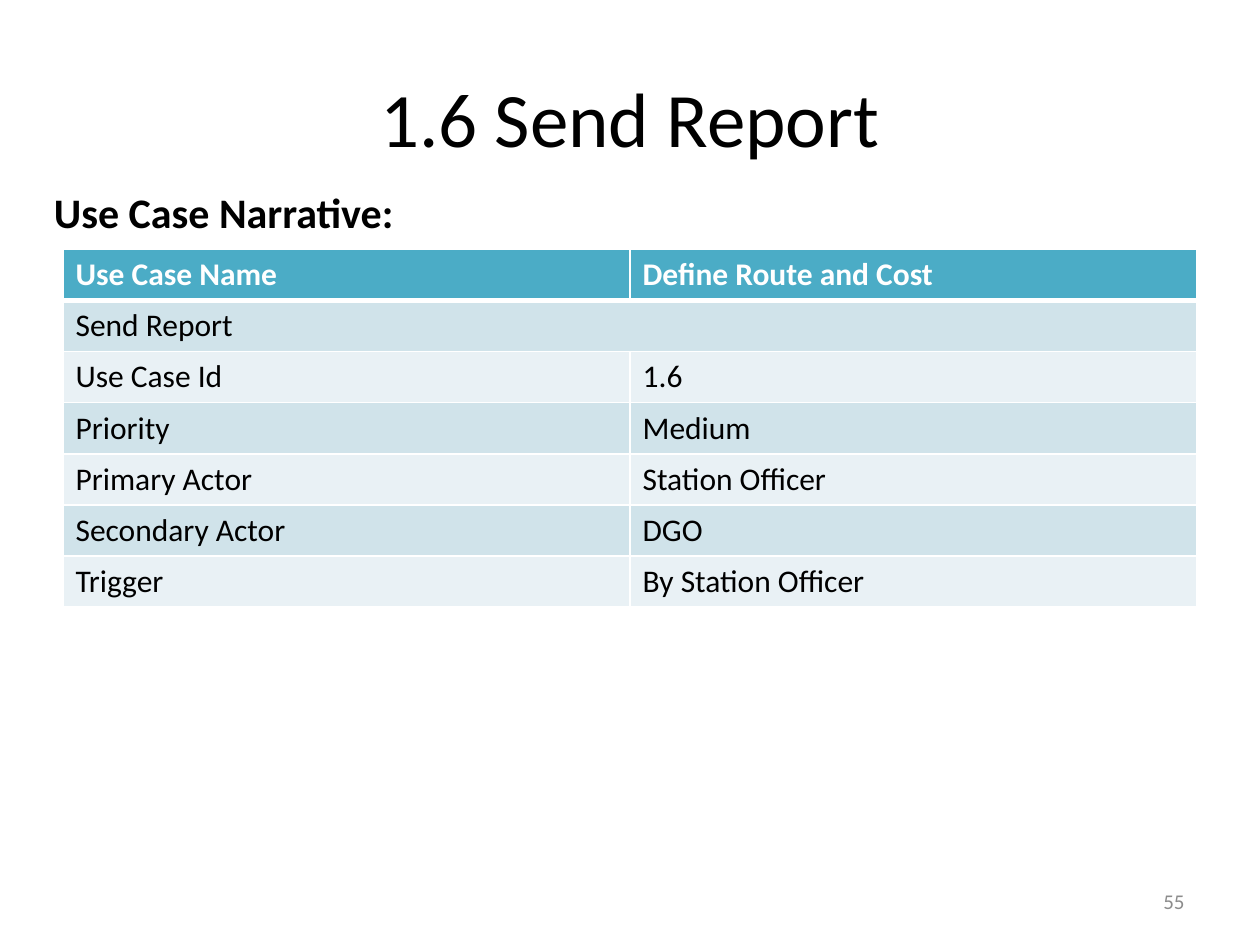
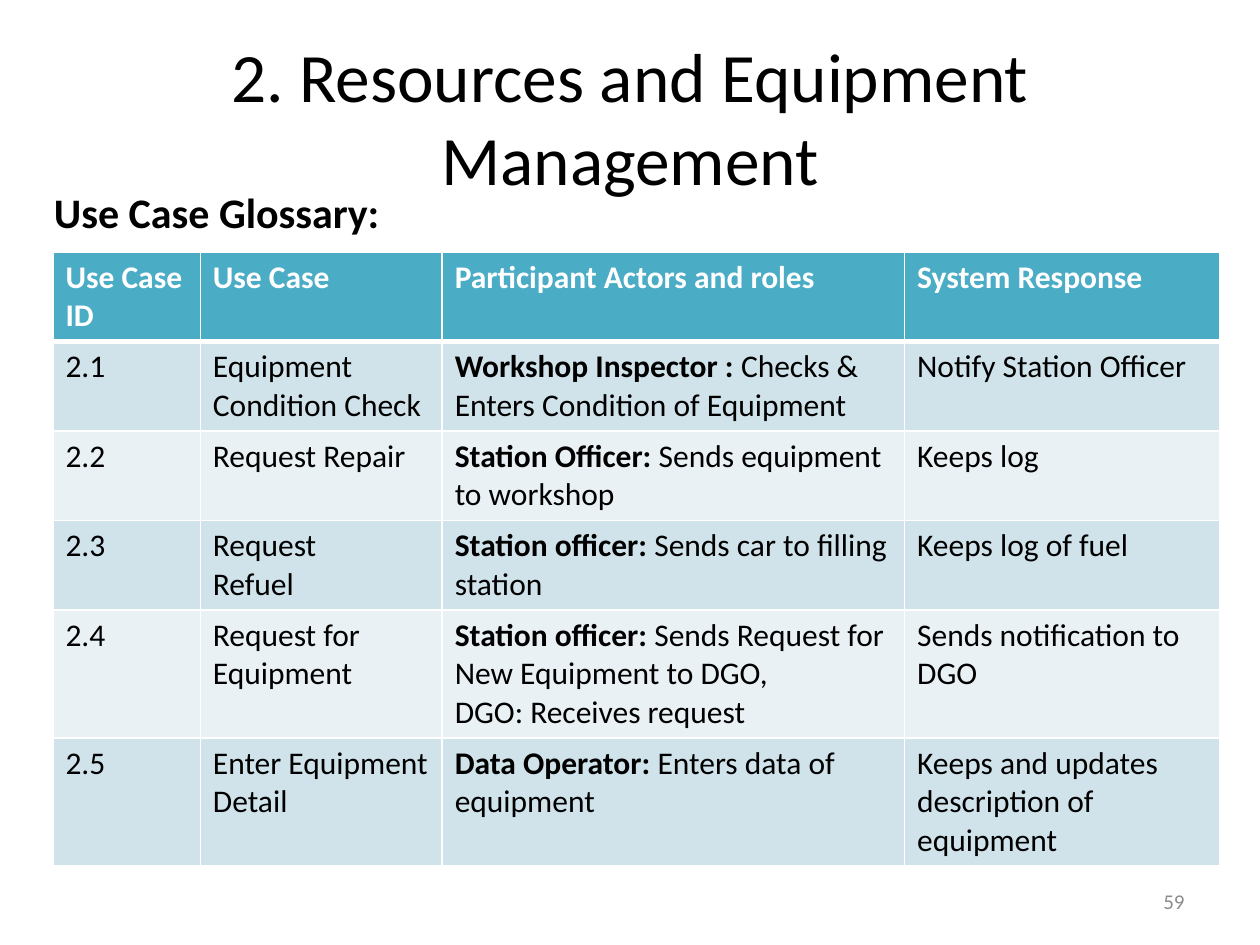
"""Build two use case slides: a narrative table and a glossary table."""
from dataclasses import dataclass

from lxml.etree import SubElement
from pptx import Presentation
from pptx.dml.color import RGBColor
from pptx.enum.text import MSO_ANCHOR, MSO_AUTO_SIZE, PP_ALIGN
from pptx.oxml.ns import qn
from pptx.util import Emu, Pt

PX = 9144
FONT = "Calibri"
BLACK, WHITE, GREY = "000000", "FFFFFF", "8C8C8C"
HEADER, BANDS = "4BACC6", ("D0E3EA", "E9F1F5")
TITLE_BOX = (50, 30, 900, 125)
HEADING_BOX = (33, 143, 525, 50)
NUMBER_BOX = (717, 695, 233, 40)
BOLD_END = "|"


@dataclass
class Grid:
    """Hold a table's place, sizes, text and full-width rows."""
    left: int
    top: int
    cols: list[int]
    heights: list[int]
    rows: list[list[str]]
    full_width: tuple[int, ...] = ()


@dataclass
class Page:
    """Hold what differs between the slides."""
    title: str
    title_size: float
    heading: str
    number: str
    grid: Grid


PAGES = [
    Page("1.6 Send Report", 44, "Use Case Narrative:", "55", Grid(
        50, 198, [450] * 2, [40] * 7,
        [["Use Case Name", "Define Route and Cost"],
         ["Send Report"],
         ["Use Case Id", "1.6"],
         ["Priority", "Medium"],
         ["Primary Actor", "Station Officer"],
         ["Secondary Actor", "DGO"],
         ["Trigger", "By Station Officer"]],
        full_width=(1,))),
    Page("2. Resources and Equipment Management", 39.6, "Use Case Glossary:", "59", Grid(
        42, 200, [117, 192, 367, 250], [71] * 4 + [101] * 2,
        [["Use Case ID", "Use Case", "Participant Actors and roles", "System Response"],
         ["2.1", "Equipment Condition Check",
          "Workshop Inspector : |Checks & Enters Condition of Equipment",
          "Notify Station Officer"],
         ["2.2", "Request Repair", "Station Officer: |Sends equipment to workshop",
          "Keeps log"],
         ["2.3", "Request\nRefuel", "Station officer: |Sends car to filling station",
          "Keeps log of fuel"],
         ["2.4", "Request for Equipment",
          "Station officer: |Sends Request for New Equipment to DGO,\n"
          "DGO: Receives request",
          "Sends notification to DGO"],
         ["2.5", "Enter Equipment Detail", "Data Operator: |Enters data of equipment",
          "Keeps and updates description of equipment"]])),
]


def px(n: int) -> Emu:
    """Turn px into EMU."""
    return Emu(n * PX)


def rgb(color: str) -> RGBColor:
    """Turn a hex string into a colour."""
    return RGBColor.from_string(color)


def apply(target, values: dict) -> None:
    """Set each attribute named in values."""
    for name, value in values.items():
        setattr(target, name, value)


def write(tf, text: str, size: float, color: str, bold: bool = False, align=None) -> None:
    """Write text; lines become paragraphs and a lead before the mark is bold."""
    for i, line in enumerate(text.split("\n")):
        p = tf.add_paragraph() if i else tf.paragraphs[0]
        p.alignment = align
        lead, mark, rest = line.partition(BOLD_END)
        parts = [(lead, True), (rest, False)] if mark else [(line, bold)]
        for words, heavy in parts:
            r = p.add_run()
            r.text = words
            apply(r.font, {"name": FONT, "size": Pt(size), "bold": heavy})
            r.font.color.rgb = rgb(color)


def add_title(s, page: Page) -> None:
    """Fill and place the title placeholder."""
    sp = s.shapes.title
    apply(sp, dict(zip(("left", "top", "width", "height"), map(px, TITLE_BOX))))
    apply(sp.text_frame, {"word_wrap": True, "vertical_anchor": MSO_ANCHOR.MIDDLE,
                          "auto_size": MSO_AUTO_SIZE.NONE})
    write(sp.text_frame, page.title, page.title_size, BLACK, align=PP_ALIGN.CENTER)


def add_text(s, box: tuple[int, ...], text: str, size: float, color: str,
             frame: dict, bold: bool = False, align=None) -> None:
    """Add a wrapping text box."""
    tf = s.shapes.add_textbox(*map(px, box)).text_frame
    apply(tf, {"word_wrap": True, **frame})
    write(tf, text, size, color, bold, align)


def set_borders(cell, row: int) -> None:
    """Draw white borders, thicker between header and body."""
    tc_pr = cell._tc.get_or_add_tcPr()
    widths = {"L": 1, "R": 1, "T": 3 if row == 1 else 1, "B": 1 if row else 3}
    for side, width in widths.items():
        ln = SubElement(tc_pr, qn(f"a:ln{side}"), w=str(Pt(width)))
        SubElement(SubElement(ln, qn("a:solidFill")), qn("a:srgbClr"), val=WHITE)


def add_grid(s, grid: Grid) -> None:
    """Add a table with a header row and banded body rows."""
    table = s.shapes.add_table(
        len(grid.rows), len(grid.cols), px(grid.left), px(grid.top),
        px(sum(grid.cols)), px(sum(grid.heights))).table
    for col, width in zip(table.columns, grid.cols):
        col.width = px(width)
    for i, (row, height) in enumerate(zip(table.rows, grid.heights)):
        row.height = px(height)
        for cell in row.cells:
            set_borders(cell, i)
            cell.fill.solid()
            cell.fill.fore_color.rgb = rgb(BANDS[(i - 1) % 2] if i else HEADER)
        if i in grid.full_width:
            table.cell(i, 0).merge(table.cell(i, len(grid.cols) - 1))
        for cell, text in zip(row.cells, grid.rows[i]):
            write(cell.text_frame, text, 18, BLACK if i else WHITE, bold=i == 0)


def add_page(prs, page: Page) -> None:
    """Add one slide with title, table, number and heading."""
    s = prs.slides.add_slide(prs.slide_layouts.get_by_name("Title Only"))
    add_title(s, page)
    add_grid(s, page.grid)
    add_text(s, NUMBER_BOX, page.number, 12, GREY,
             {"vertical_anchor": MSO_ANCHOR.MIDDLE}, align=PP_ALIGN.RIGHT)
    add_text(s, HEADING_BOX, page.heading, 24, BLACK,
             {"auto_size": MSO_AUTO_SIZE.SHAPE_TO_FIT_TEXT}, bold=True)


def main() -> None:
    """Build and save the presentation."""
    prs = Presentation()
    apply(prs, {"slide_width": px(1000), "slide_height": px(750)})
    for page in PAGES:
        add_page(prs, page)
    prs.save("out.pptx")


if __name__ == "__main__":
    main()
